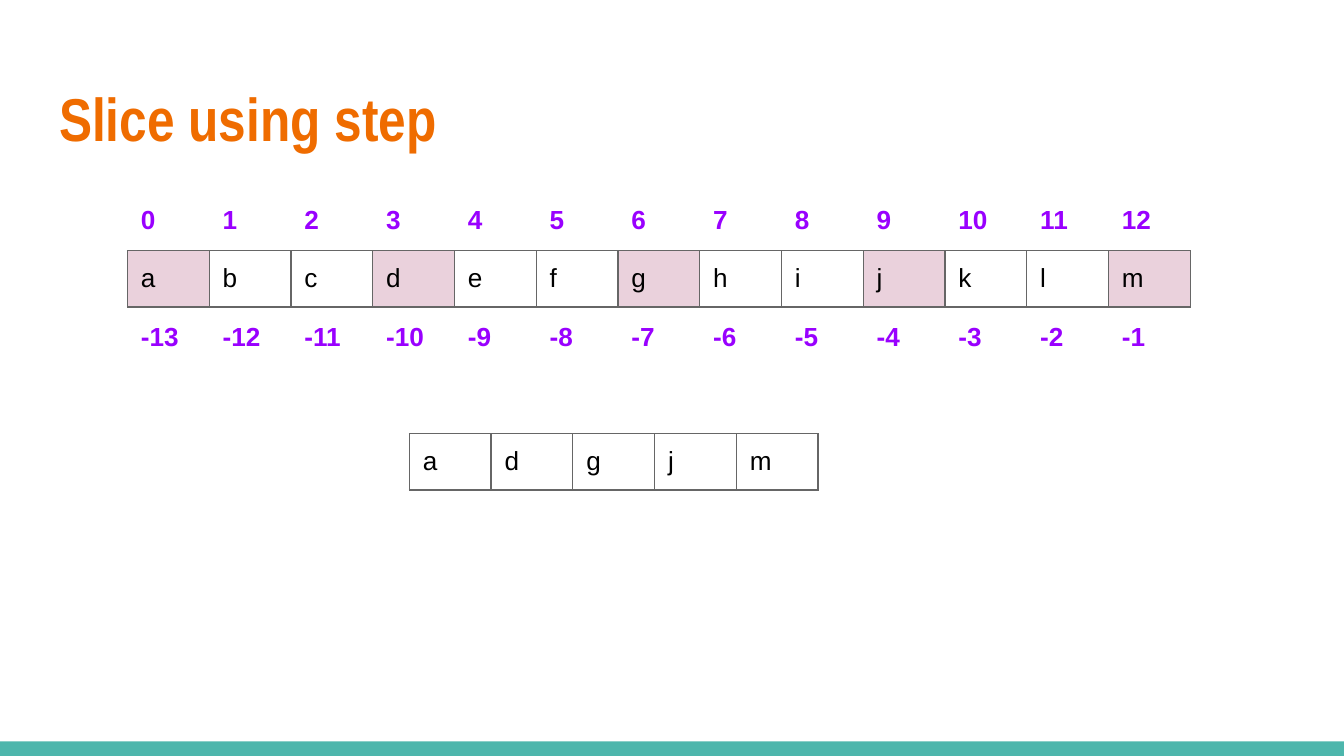
from lxml import etree
from pptx import Presentation
from pptx.dml.color import RGBColor
from pptx.enum import shapes, text
from pptx.oxml import ns
from pptx.util import Pt

WHITE = "FFFFFF"
GREY = "666666"
PINK = "EAD1DC"
PURPLE = "9900FF"
BLACK = "000000"
LETTERS = "abcdefghijklm"
STEP = 3
CELL_WIDTH = 43.8
CELL_HEIGHT = 30.2
LIST_LEFT = 68.3


def paint(fill, color):
    fill.solid()
    fill.fore_color.rgb = RGBColor.from_string(color)


def style_font(font, name, size, color, bold):
    font.name = name
    font.size = Pt(size)
    font.bold = bold
    font.color.rgb = RGBColor.from_string(color)


def set_margins(box):
    box.margin_left = box.margin_right = Pt(7.2)
    box.margin_top = box.margin_bottom = Pt(7.2)


def add_borders(cell, color):
    properties = cell._tc.get_or_add_tcPr()
    for side in ("lnL", "lnR", "lnT", "lnB"):
        line = etree.SubElement(properties, ns.qn(f"a:{side}"), w=str(Pt(0.75)))
        solid = etree.SubElement(line, ns.qn("a:solidFill"))
        etree.SubElement(solid, ns.qn("a:srgbClr"), val=color)


def add_title(slide, words):
    title = slide.shapes.title
    title.left, title.top = Pt(24.5), Pt(35.3)
    title.width, title.height = Pt(671), Pt(55.4)
    frame = title.text_frame
    frame.text = words
    frame.word_wrap = True
    frame.auto_size = text.MSO_AUTO_SIZE.NONE
    frame.vertical_anchor = text.MSO_ANCHOR.MIDDLE
    set_margins(frame)
    heading = frame.paragraphs[0]
    heading.alignment = text.PP_ALIGN.LEFT
    style_font(heading.font, "Arial Narrow", 32.4, "EF6C00", True)


def add_footer_band(slide):
    band = slide.shapes.add_shape(
        shapes.MSO_SHAPE.RECTANGLE, Pt(0), Pt(397.2), Pt(720), Pt(7.8))
    band.shadow.inherit = False
    paint(band.fill, "4DB6AC")
    band.line.fill.background()


def add_row(slide, values, left, top, color, border, bold=False, shaded_step=None):
    table = slide.shapes.add_table(
        1, len(values), Pt(left), Pt(top),
        Pt(CELL_WIDTH * len(values)), Pt(CELL_HEIGHT)).table
    table.first_row = table.horz_banding = False
    for index, value in enumerate(values):
        table.columns[index].width = Pt(CELL_WIDTH)
        cell = table.cell(0, index)
        cell.text = str(value)
        set_margins(cell)
        style_font(cell.text_frame.paragraphs[0].font, "Arial", 14, color, bold)
        add_borders(cell, border)
        shaded = shaded_step and index % shaded_step == 0
        paint(cell.fill, PINK if shaded else WHITE)


def main():
    deck = Presentation()
    deck.slide_width, deck.slide_height = Pt(720), Pt(405)
    slide = deck.slides.add_slide(deck.slide_layouts[5])
    paint(slide.background.fill, WHITE)

    add_footer_band(slide)
    add_title(slide, "Slice using step")

    count = len(LETTERS)
    add_row(slide, LETTERS, LIST_LEFT, 134.3, BLACK, GREY, shaded_step=STEP)
    add_row(slide, LETTERS[::STEP], 219.3, 232.3, BLACK, GREY)
    add_row(slide, range(count), LIST_LEFT, 103, PURPLE, WHITE, bold=True)
    add_row(slide, range(-count, 0), LIST_LEFT, 165.6, PURPLE, WHITE, bold=True)

    deck.save("out.pptx")


if __name__ == "__main__":
    main()
